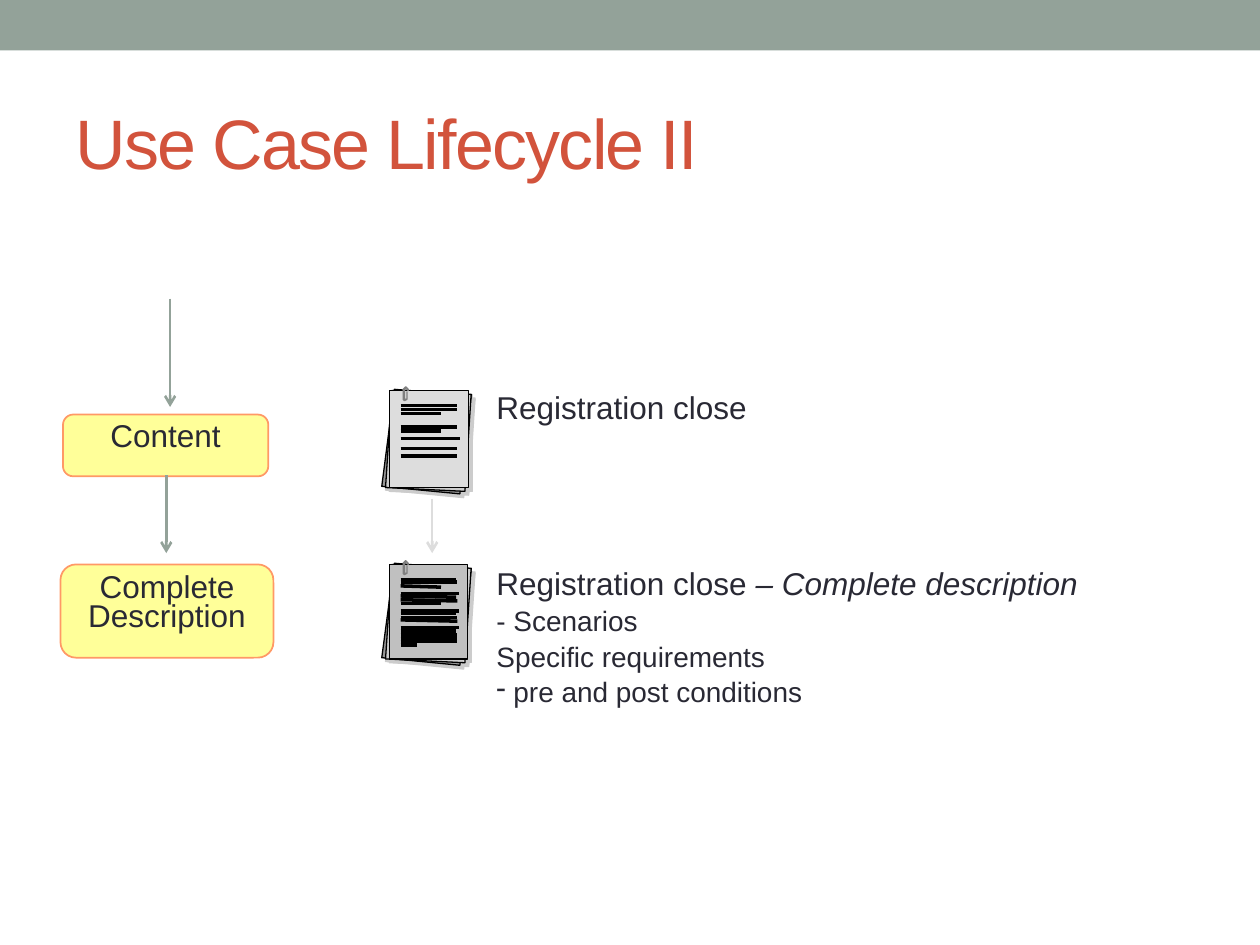
from lxml.etree import SubElement
from pptx import Presentation
from pptx.dml.color import RGBColor
from pptx.enum.shapes import MSO_CONNECTOR, MSO_SHAPE
from pptx.enum.text import MSO_ANCHOR, MSO_AUTO_SIZE, PP_ALIGN
from pptx.oxml.ns import qn
from pptx.util import Inches, Pt

TEXT = "292934"
SAGE = "93A299"
SHADOW = "CCCCCC"
BLACK = "000000"
PAGE_LEFT = 3.09

# Paper clip, as offsets from the top left corner of the front page
CLIP = [(0.15, 0), (0.14, -0.01), (0.14, -0.02), (0.13, -0.02), (0.12, -0.01),
        (0.12, 0.07), (0.13, 0.07), (0.14, 0.07), (0.14, 0.01), (0.14, 0.07),
        (0.12, 0.08), (0.11, 0.07), (0.11, -0.01), (0.12, -0.02),
        (0.13, -0.03), (0.14, -0.02), (0.15, -0.01)]

# Ruled lines of each document: start height, end height, right end
SHORT_RULES = [(3.22, 3.22, 3.63), (3.25, 3.25, 3.63), (3.28, 3.28, 3.5),
               (3.39, 3.39, 3.63), (3.42, 3.42, 3.5), (3.48, 3.48, 3.65),
               (3.56, 3.56, 3.63), (3.62, 3.62, 3.63)]
FULL_RULES = [(4.6, 4.6, 3.62), (4.62, 4.62, 3.63), (4.65, 4.66, 3.5),
              (4.71, 4.71, 3.64), (4.73, 4.74, 3.62), (4.76, 4.77, 3.63),
              (4.79, 4.79, 3.5), (4.85, 4.85, 3.64), (4.87, 4.87, 3.62),
              (4.9, 4.9, 3.63), (4.92, 4.93, 3.63), (4.98, 4.98, 3.64),
              (5.01, 5.01, 3.62), (5.04, 5.04, 3.63), (5.07, 5.07, 3.63),
              (5.09, 5.09, 3.63), (5.12, 5.12, 3.31)]


def color(value):
    return RGBColor.from_string(value)


def paint(shape, fill, line=None, width=0):
    shape.shadow.inherit = False
    shape.fill.solid()
    shape.fill.fore_color.rgb = color(fill)
    if line:
        shape.line.color.rgb = color(line)
        shape.line.width = Pt(width)
    else:
        shape.line.fill.background()


def add_run(paragraph, text, size=18, value=TEXT, italic=False):
    run = paragraph.add_run()
    run.text = text
    run.font.name = "Arial"
    run.font.size = Pt(size)
    run.font.italic = italic
    run.font.color.rgb = color(value)
    return run


def set_frame(frame, anchor, insets, wrap=True):
    frame.word_wrap = wrap
    frame.auto_size = MSO_AUTO_SIZE.NONE
    frame.vertical_anchor = anchor
    (frame.margin_left, frame.margin_top,
     frame.margin_right, frame.margin_bottom) = map(Inches, insets)


def add_line(shapes, start, end, value, width=0, arrow=False):
    line = shapes.add_connector(MSO_CONNECTOR.STRAIGHT,
                                *map(Inches, start + end))
    line.line.color.rgb = color(value)
    line.line.width = Pt(width)
    if arrow:
        SubElement(line.line._get_or_add_ln(), qn("a:tailEnd"), type="arrow")
    SubElement(line._element.spPr, qn("a:effectLst"))


def add_outline(shapes, left, top, offsets, fill, line):
    points = [(Inches(left + x), Inches(top + y)) for x, y in offsets]
    builder = shapes.build_freeform(*points[0])
    builder.add_line_segments(points[1:], close=True)
    paint(builder.convert_to_shape(), fill, line)


def add_page(shapes, left, top, width, height, fill, line):
    page = shapes.add_shape(MSO_SHAPE.RECTANGLE,
                            *map(Inches, (left, top, width, height)))
    paint(page, fill, line)


def add_document(slide, top, width, height, fill, rules):
    shapes = slide.shapes.add_group_shape().shapes
    back = [(0.04, -0.01), (0.65, 0.04),
            (0.56, height + 0.05), (-0.06, height - 0.01)]
    middle = [(0.02, 0), (0.65, 0.03), (0.6, height + 0.03), (-0.03, height)]
    # The shadow is the same stack of sheets, shifted down and right
    stacks = [(0.03, SHADOW, SHADOW, SHADOW, SHADOW, SHADOW, SHADOW),
              (0, "999999", SHADOW, fill, BLACK, "E5E5E5", "7F7F7F")]
    for shift, back_fill, middle_fill, front_fill, edge, clip, clip_edge in stacks:
        left, sheet_top = PAGE_LEFT + shift, top + shift
        add_outline(shapes, left, sheet_top, back, back_fill, edge)
        add_outline(shapes, left, sheet_top, middle, middle_fill, edge)
        add_page(shapes, left, sheet_top, width, height, front_fill, edge)
        add_outline(shapes, left, sheet_top, CLIP, clip, clip_edge)
    for start, end, right in rules:
        add_line(shapes, (3.18, start), (right, end), BLACK)


def add_stage(slide, left, top, width, height, label):
    stage = slide.shapes.add_shape(MSO_SHAPE.ROUNDED_RECTANGLE,
                                   *map(Inches, (left, top, width, height)))
    paint(stage, "FFFF99", "FF9966", 1)
    set_frame(stage.text_frame, MSO_ANCHOR.MIDDLE, (0.1, 0.05, 0.1, 0.15))
    paragraph = stage.text_frame.paragraphs[0]
    paragraph.alignment = PP_ALIGN.CENTER
    paragraph.line_spacing = 0.75
    add_run(paragraph, label)


def add_heading(slide, left, top, width, height, wrap=True):
    box = slide.shapes.add_textbox(*map(Inches, (left, top, width, height)))
    set_frame(box.text_frame, MSO_ANCHOR.TOP, (0.09, 0.04, 0.09, 0.04), wrap)
    return box.text_frame


def add_description(slide):
    frame = add_heading(slide, 3.85, 4.44, 5.59, 1.2)
    first = frame.paragraphs[0]
    add_run(first, "Registration close ")
    add_run(first, "– Complete description", italic=True)
    details = [("- Scenarios", False), ("Specific requirements", False),
               (" pre and post conditions", True)]
    for text, bulleted in details:
        paragraph = frame.add_paragraph()
        if bulleted:
            SubElement(paragraph._p.get_or_add_pPr(), qn("a:buChar"), char="-")
        paragraph.space_before = Pt(1)
        add_run(paragraph, text, 16)


def add_title(slide):
    title = slide.shapes.title
    title.left, title.top, title.width, title.height = map(
        Inches, (0.5, 0.58, 9, 1.08))
    set_frame(title.text_frame, MSO_ANCHOR.MIDDLE, (0.1, 0.05, 0.1, 0.05))
    paragraph = title.text_frame.paragraphs[0]
    paragraph.alignment = PP_ALIGN.LEFT
    run = add_run(paragraph, "Use Case Lifecycle II", 40, "D2533C")
    run.font._element.set("spc", "-100")


def main():
    presentation = Presentation()
    presentation.slide_width = Inches(10)
    presentation.slide_height = Inches(7.5)
    slide = presentation.slides.add_slide(presentation.slide_layouts[5])

    # Top band and title
    add_page(slide.shapes, 0, 0, 10, 0.4, SAGE, None)
    add_title(slide)

    # Stages of the lifecycle
    add_stage(slide, 0.5, 3.29, 1.63, 0.49, "Content")
    add_stage(slide, 0.48, 4.48, 1.69, 0.74, "Complete Description")

    # Documents that belong to the stages
    add_document(slide, 3.1, 0.63, 0.77, "DDDDDD", SHORT_RULES)
    add_document(slide, 4.48, 0.62, 0.75, "C0C0C0", FULL_RULES)
    heading = add_heading(slide, 3.85, 3.04, 2.18, 0.39, wrap=False)
    add_run(heading.paragraphs[0], "Registration close")
    add_description(slide)

    # Arrows from step to step
    for x, start, end, value in [(1.35, 2.37, 3.23, SAGE),
                                 (1.32, 3.77, 4.39, SAGE),
                                 (3.43, 3.96, 4.39, "DDDDDD")]:
        add_line(slide.shapes, (x, start), (x, end), value, 1.5, arrow=True)

    presentation.save("out.pptx")


if __name__ == "__main__":
    main()
